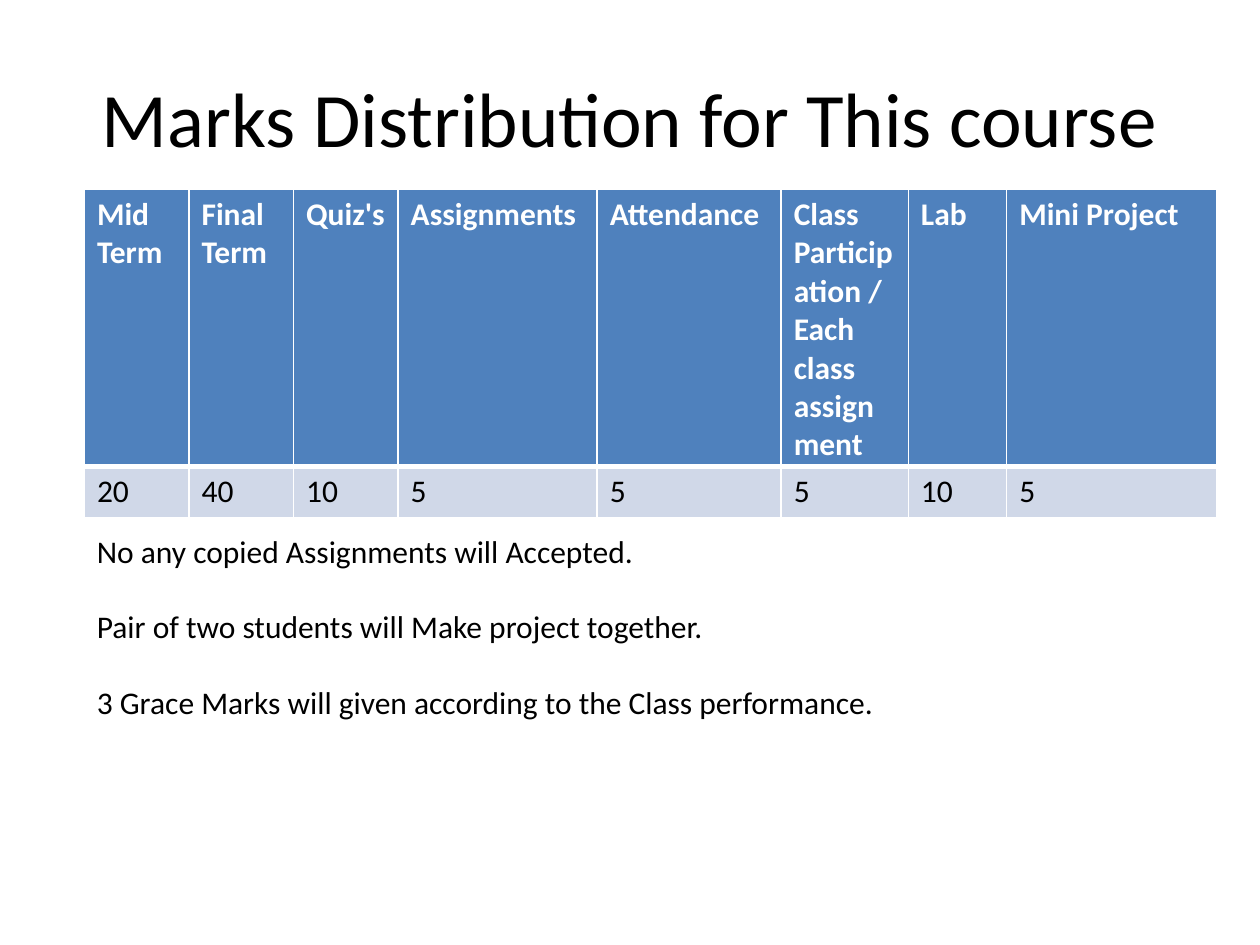
import pptx
import pptx.util
import pptx.dml.color
import pptx.enum.text
import pptx.oxml
import pptx.oxml.ns

Inches = pptx.util.Inches
Pt = pptx.util.Pt
Align = pptx.enum.text.PP_ALIGN
Anchor = pptx.enum.text.MSO_ANCHOR


def tint(code):
    return pptx.dml.color.RGBColor.from_string(code)


class Deck:
    font = "Calibri"
    ink = "000000"
    white = "FFFFFF"
    head = "4F81BD"
    band = "D0D8E8"

    def __init__(self, wide, high):
        self.file = pptx.Presentation()
        self.file.slide_width = Inches(wide)
        self.file.slide_height = Inches(high)
        self.slide = self.file.slides.add_slide(self.file.slide_layouts[6])

    def style(self, para, size, color, bold=False):
        look = {"name": self.font, "size": Pt(size), "bold": bold}
        for key, value in look.items():
            setattr(para.font, key, value)
        para.font.color.rgb = tint(color)

    def text(self, area, lines, size, gap=0, **form):
        box = self.slide.shapes.add_textbox(*map(Inches, area))
        frame = box.text_frame
        frame.word_wrap = True
        frame.vertical_anchor = form.get("anchor", Anchor.TOP)
        frame.text = "\n".join(lines)
        for rank, para in enumerate(frame.paragraphs):
            para.alignment = form.get("align", Align.LEFT)
            para.space_before = Pt(gap if rank else 0)
            self.style(para, size, self.ink)

    def edge(self, cell, sides):
        props = cell._tc.get_or_add_tcPr()
        for side, width in sides.items():
            props.append(pptx.oxml.parse_xml(
                f'<a:ln{side} {pptx.oxml.ns.nsdecls("a")} w="{Pt(width)}">'
                f'<a:solidFill><a:srgbClr val="{self.white}"/></a:solidFill>'
                f'</a:ln{side}>'))

    def table(self, left, top, widths, high, rows, size):
        area = map(Inches, (left, top, sum(widths), high * len(rows)))
        grid = self.slide.shapes.add_table(len(rows), len(widths), *area).table
        for col, width in zip(grid.columns, widths):
            col.width = Inches(width)
        for r, row in enumerate(rows):
            first = r == 0
            grid.rows[r].height = Inches(high)
            sides = {"L": 1, "R": 1, "T": 3 if r == 1 else 1,
                     "B": 3 if first else 1}
            for c, value in enumerate(row):
                cell = grid.cell(r, c)
                self.edge(cell, sides)
                cell.fill.solid()
                cell.fill.fore_color.rgb = tint(self.head if first else self.band)
                cell.text = value
                self.style(cell.text_frame.paragraphs[0], size,
                           self.white if first else self.ink, first)

    def save(self):
        self.file.save("out.pptx")


def main():
    deck = Deck(10, 7.5)
    deck.text((0.5, 0.3, 9, 1.25), ["Marks Distribution for This course"], 44,
              align=Align.CENTER, anchor=Anchor.MIDDLE)
    marks = [
        ("Mid Term", 0.83, "20"),
        ("Final Term", 0.83, "40"),
        ("Quiz's", 0.83, "10"),
        ("Assignments", 1.58, "5"),
        ("Attendance", 1.46, "5"),
        ("Class Participation /Each class assignment", 1.01, "5"),
        ("Lab", 0.78, "10"),
        ("Mini Project", 1.67, "5"),
    ]
    names, widths, points = zip(*marks)
    deck.table(0.67, 1.5, widths, 0.41, [names, points], 18)
    deck.text((0.67, 4.17, 7.25, 1.62), [
        "No any copied Assignments will Accepted.",
        "Pair of two students will Make project together.",
        "3 Grace Marks will given according to the Class performance.",
    ], 18, gap=21.6)
    deck.save()


if __name__ == "__main__":
    main()
